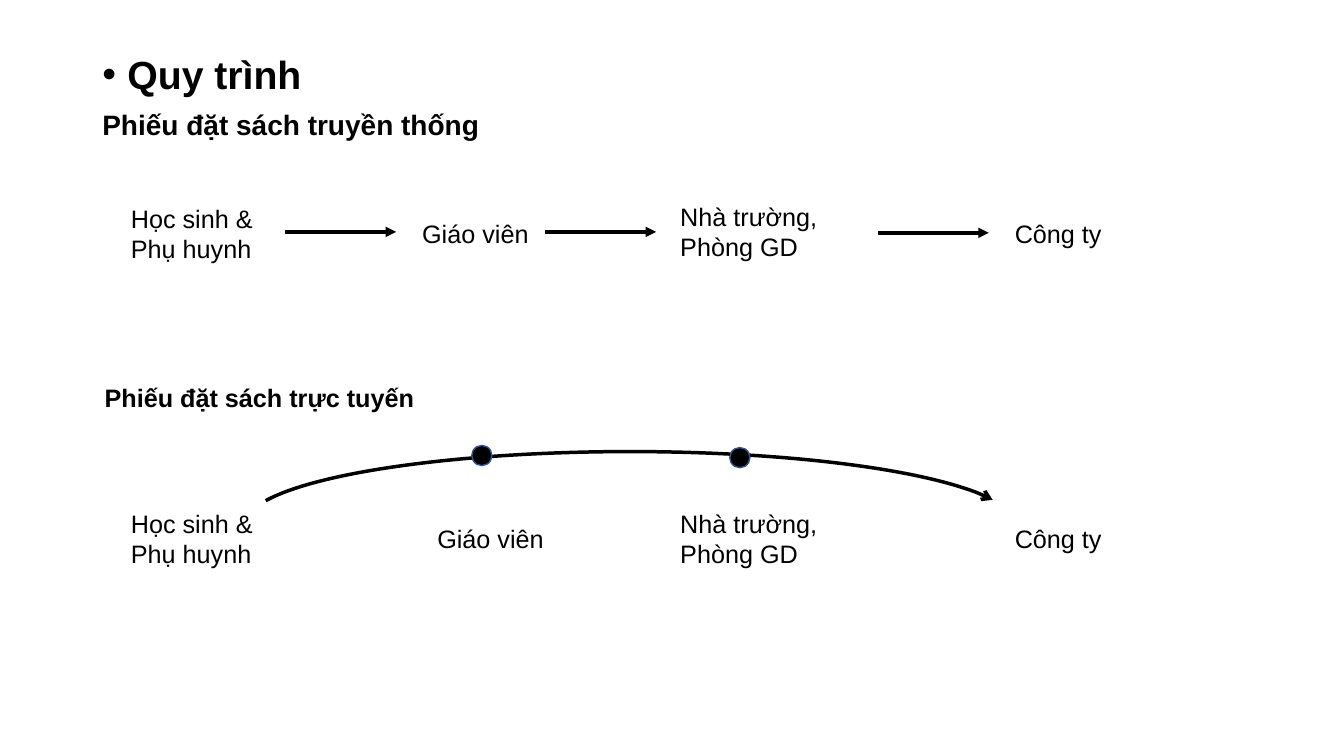
from lxml.etree import SubElement
from pptx import Presentation
from pptx.dml.color import RGBColor
from pptx.enum.shapes import MSO_CONNECTOR as Connector, MSO_SHAPE as Shape
from pptx.enum.text import MSO_AUTO_SIZE as AutoSize
from pptx.oxml.ns import qn
from pptx.util import Pt

COLORS = {"ink": "000000", "dot_edge": "325491"}


def add_text(left, top, width, height, lines, bold=False):
    box = slide.shapes.add_textbox(Pt(left), Pt(top), Pt(width), Pt(height))
    frame = box.text_frame
    frame.word_wrap = True
    frame.auto_size = AutoSize.SHAPE_TO_FIT_TEXT
    for index, (words, size) in enumerate(lines):
        paragraph = frame.add_paragraph() if index else frame.paragraphs[0]
        run = paragraph.add_run()
        run.text = words
        run.font.name = "Arial"
        run.font.size = Pt(size)
        run.font.bold = bold
        run.font.color.rgb = RGBColor.from_string(COLORS["ink"])
    return frame


def style_arrow(arrow, head):
    arrow.line.color.rgb = RGBColor.from_string(COLORS["ink"])
    arrow.line.width = Pt(2.5)
    SubElement(arrow.line._get_or_add_ln(), qn("a:tailEnd"), type=head)


deck = Presentation()
deck.slide_width, deck.slide_height = Pt(960), Pt(540)
slide = deck.slides.add_slide(deck.slide_layouts[6])

heading = add_text(66, 36, 828, 450.72, [("Quy trình", 28), ("Phiếu đặt sách truyền thống", 20)], bold=True)
heading.auto_size = AutoSize.NONE
for paragraph in heading.paragraphs:
    paragraph.line_spacing = 0.9
    paragraph.space_before = Pt(10)
bulleted = heading.paragraphs[0]._p.get_or_add_pPr()
bulleted.set("marL", str(Pt(18)))
bulleted.set("indent", str(-Pt(18)))
SubElement(bulleted, qn("a:buFont"), typeface="Arial")
SubElement(bulleted, qn("a:buChar"), char="•")

stages = [
    (["Học sinh &", "Phụ huynh"], 117.4, 51.1, (86.4, 141.7), (86.4, 359.3)),
    (["Giáo viên"], 105.8, 28.8, (294.5, 152.6), (305.3, 370.1)),
    (["Nhà trường, Phòng GD"], 138.2, 51.1, (478.8, 140.4), (478.8, 359.3)),
    (["Công ty"], 105.8, 28.8, (717.8, 152.6), (717.8, 370.1)),
]
for words, width, height, *places in stages:
    for left, top in places:
        add_text(left, top, width, height, [(line, 18) for line in words])

for left, level in [(203.8, 165.6), (389.5, 165.6), (627.1, 166.3)]:
    step = slide.shapes.add_connector(Connector.STRAIGHT, Pt(left), Pt(level), Pt(left + 79.2), Pt(level))
    style_arrow(step, "triangle")
    SubElement(step._element.spPr, qn("a:effectLst"))

online_route = slide.shapes.add_shape(Shape.ARC, Pt(175), Pt(322.6), Pt(550), Pt(103.7))
online_route.adjustments[0] = 110.21
online_route.adjustments[1] = 213.69
online_route.shadow.inherit = False
online_route.fill.background()
style_arrow(online_route, "arrow")

for left, top in [(337, 318.2), (521.3, 319.7)]:
    dot = slide.shapes.add_shape(Shape.FLOWCHART_CONNECTOR, Pt(left), Pt(top), Pt(14.4), Pt(14.4))
    dot.shadow.inherit = False
    dot.fill.solid()
    dot.fill.fore_color.rgb = RGBColor.from_string(COLORS["ink"])
    dot.line.color.rgb = RGBColor.from_string(COLORS["dot_edge"])
    dot.line.width = Pt(1)

add_text(67.7, 269.3, 310.3, 28.8, [("Phiếu đặt sách trực tuyến", 18)], bold=True)

deck.save("out.pptx")
